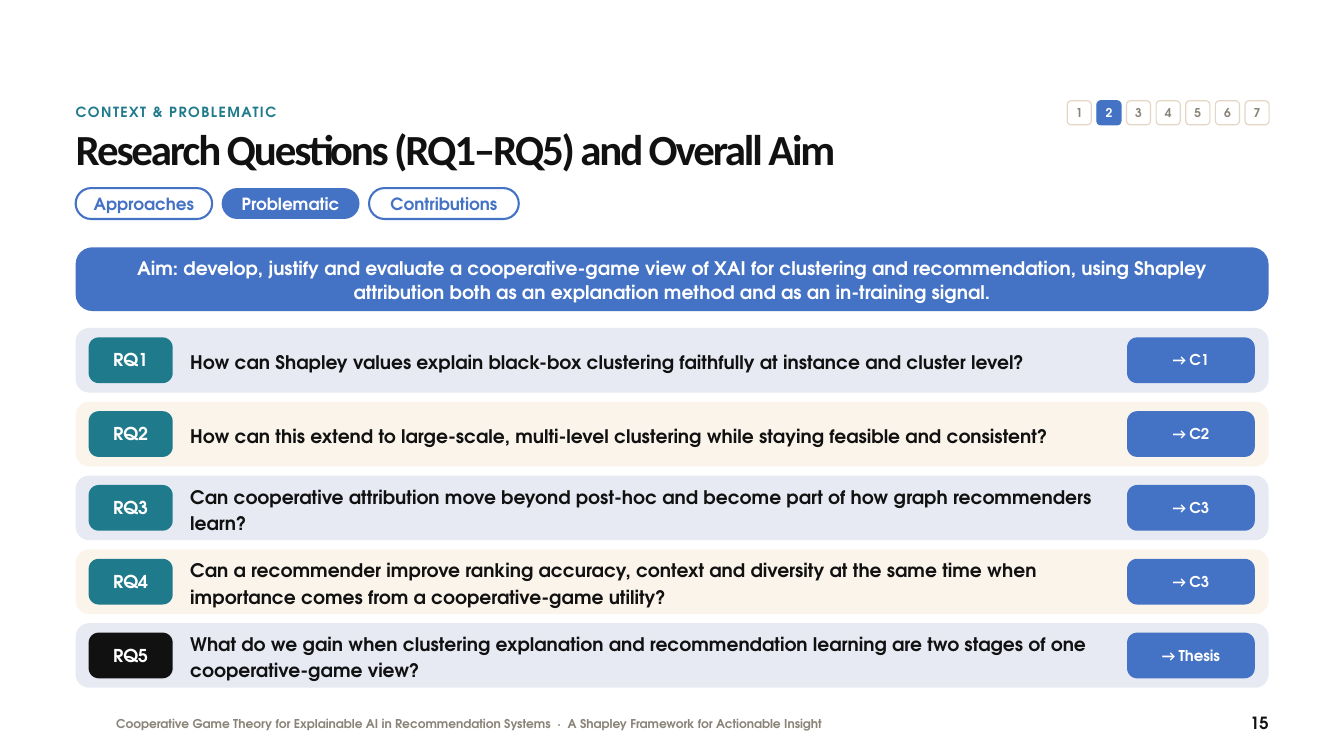
from pptx import Presentation
from pptx.dml.color import RGBColor
from pptx.enum.shapes import MSO_SHAPE
from pptx.enum.text import MSO_ANCHOR, MSO_AUTO_SIZE, PP_ALIGN
from pptx.util import Cm, Pt

SECTION = "CONTEXT & PROBLEMATIC"
TITLE = "Research Questions (RQ1–RQ5) and Overall Aim"
STEPS = ["1", "2", "3", "4", "5", "6", "7"]
CURRENT_STEP = "2"
TABS = [("Approaches", 5.16), ("Problematic", 5.21), ("Contributions", 5.66)]
CURRENT_TAB = "Problematic"
AIM = (
    "Aim: develop, justify and evaluate a cooperative-game view of XAI for clustering "
    "and recommendation, using Shapley attribution both as an explanation method "
    "and as an in-training signal."
)
QUESTIONS = [
    ("RQ1", "How can Shapley values explain black-box clustering faithfully at instance "
            "and cluster level?", "C1", "teal"),
    ("RQ2", "How can this extend to large-scale, multi-level clustering while staying "
            "feasible and consistent?", "C2", "teal"),
    ("RQ3", "Can cooperative attribution move beyond post-hoc and become part of how "
            "graph recommenders learn?", "C3", "teal"),
    ("RQ4", "Can a recommender improve ranking accuracy, context and diversity at the "
            "same time when importance comes from a cooperative-game utility?", "C3", "teal"),
    ("RQ5", "What do we gain when clustering explanation and recommendation learning are "
            "two stages of one cooperative-game view?", "Thesis", "ink"),
]
FOOTER = (
    "Cooperative Game Theory for Explainable AI in Recommendation Systems  ·  "
    "A Shapley Framework for Actionable Insight"
)
PAGE = "15"

COLORS = {
    "ink": "111111", "white": "FFFFFF", "blue": "4472C4", "teal": "1F7A8C",
    "grey": "8A8378", "sand": "E3D6C4", "mist": "E7EAF3", "cream": "FBF4EB",
}
BODY_FONT = "TeX Gyre Adventor"
HEAD_FONT = "Calibri"

LEFT, WIDTH = 2.86, 45.09
STEP_LEFT, STEP_SIZE, STEP_PITCH = 40.34, 0.91, 1.12
TAB_GAP = 0.36
ROW_TOP, ROW_HEIGHT, ROW_PITCH = 12.4, 2.44, 2.79
BADGE_HEIGHT = 1.73


def color(name):
    return RGBColor.from_string(COLORS[name])


def write(holder, runs, size, ink, spacing, align=PP_ALIGN.LEFT,
          anchor=MSO_ANCHOR.TOP, insets=(0, 0), tracking=None):
    frame = holder.text_frame
    frame.word_wrap = True
    frame.auto_size = MSO_AUTO_SIZE.NONE
    frame.vertical_anchor = anchor
    frame.margin_left = frame.margin_right = Cm(insets[0])
    frame.margin_top = frame.margin_bottom = Cm(insets[1])
    paragraph = frame.paragraphs[0]
    paragraph.alignment = align
    paragraph.line_spacing = Pt(spacing)
    for text, font in runs:
        run = paragraph.add_run()
        run.text = text
        run.font.name = font
        run.font.size = Pt(size)
        run.font.bold = True
        run.font.color.rgb = color(ink)
        if tracking:
            run.font._element.set("spc", str(tracking))


def add_text(slide, box, text, size, ink, spacing, **options):
    holder = slide.shapes.add_textbox(*map(Cm, box))
    write(holder, [(text, BODY_FONT)], size, ink, spacing, **options)


def add_card(slide, box, radius, fill=None, line=None, line_width=1.25):
    card = slide.shapes.add_shape(MSO_SHAPE.ROUNDED_RECTANGLE, *map(Cm, box))
    card.adjustments[0] = radius
    card.shadow.inherit = False
    if fill:
        card.fill.solid()
        card.fill.fore_color.rgb = color(fill)
    else:
        card.fill.background()
    if line:
        card.line.color.rgb = color(line)
        card.line.width = Pt(line_width)
    else:
        card.line.fill.background()
    return card


def write_centred(card, runs, size, ink, spacing, insets=(0, 0)):
    write(card, runs, size, ink, spacing, PP_ALIGN.CENTER, MSO_ANCHOR.MIDDLE, insets)


def add_header(slide):
    add_text(slide, (LEFT, 3.86, 35.94, 0.91), SECTION, 15, "teal", 20, tracking=160)

    for index, step in enumerate(STEPS):
        current = step == CURRENT_STEP
        box = (STEP_LEFT + index * STEP_PITCH, 3.81, STEP_SIZE, STEP_SIZE)
        marker = add_card(slide, box, 0.167, "blue" if current else "white",
                          "blue" if current else "sand")
        write_centred(marker, [(step, BODY_FONT)], 13, "white" if current else "grey", 15)

    title = slide.shapes.title
    title.left, title.top, title.width, title.height = map(Cm, (LEFT, 4.78, WIDTH, 2.03))
    write(title, [(TITLE, HEAD_FONT)], 46, "ink", 50.6, tracking=-230)

    tab_left = LEFT
    for label, tab_width in TABS:
        current = label == CURRENT_TAB
        tab = add_card(slide, (tab_left, 7.11, tab_width, 1.17), 0.5,
                       "blue" if current else None, None if current else "blue", 2.25)
        write_centred(tab, [(label, BODY_FONT)], 18, "white" if current else "blue",
                      21.6, (0.13, 0))
        tab_left += tab_width + TAB_GAP


def add_questions(slide):
    aim = add_card(slide, (LEFT, 9.35, WIDTH, 2.41), 0.263, "blue")
    write_centred(aim, [(AIM, BODY_FONT)], 20, "white", 26, (1.27, 0.25))

    for index, (code, question, target, badge_fill) in enumerate(QUESTIONS):
        top = ROW_TOP + index * ROW_PITCH
        badge_top = top + (ROW_HEIGHT - BADGE_HEIGHT) / 2
        add_card(slide, (LEFT, top, WIDTH, ROW_HEIGHT), 0.209, ("mist", "cream")[index % 2])
        badge = add_card(slide, (3.35, badge_top, 3.18, BADGE_HEIGHT), 0.221, badge_fill)
        write_centred(badge, [(code, BODY_FONT)], 19, "white", 21.9, (0.25, 0.13))
        add_text(slide, (7.19, top, 34.93, ROW_HEIGHT), question, 20, "ink", 28,
                 anchor=MSO_ANCHOR.MIDDLE)
        answer = add_card(slide, (42.6, badge_top, 4.83, BADGE_HEIGHT), 0.221, "blue")
        write_centred(answer, [("→ ", HEAD_FONT), (target, BODY_FONT)], 16, "white",
                      18.4, (0.25, 0.13))


def main():
    deck = Presentation()
    deck.slide_width, deck.slide_height = Cm(50.8), Cm(28.58)
    slide = deck.slides.add_slide(deck.slide_layouts[5])
    add_text(slide, (4.39, 27.08, 35.56, 0.76), FOOTER, 13, "grey", 16)
    add_text(slide, (44.91, 26.92, 3.05, 0.91), PAGE, 18, "ink", 22, align=PP_ALIGN.RIGHT)
    add_header(slide)
    add_questions(slide)
    deck.save("out.pptx")


if __name__ == "__main__":
    main()
